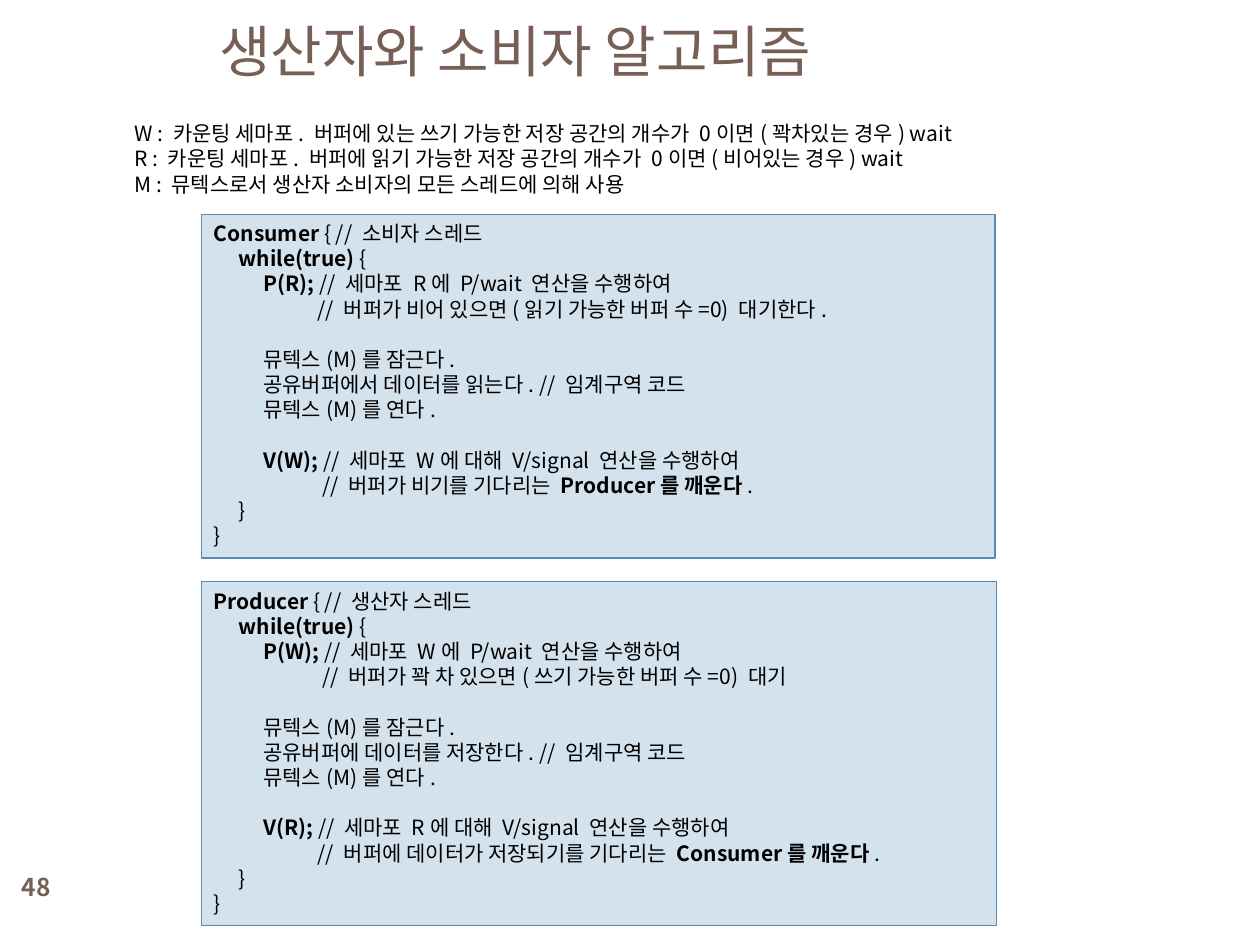
from dataclasses import dataclass

from lxml import etree
from pptx import Presentation
from pptx import util as u
from pptx.dml.color import RGBColor
from pptx.enum import shapes, text
from pptx.oxml.ns import qn

COLORS = {"heading": "775F55", "body": "000000", "panel": "D4E2ED", "border": "558BB8"}
FONT = "Noto Sans CJK KR"
LINE_HEIGHT = 14.4
TAB_STEP = u.Cm(0.5)
TAB_COUNT = 4


@dataclass
class Area:
    left: float
    top: float
    width: float
    height: float

    def lengths(self) -> list[u.Length]:
        return [u.Cm(side) for side in (self.left, self.top, self.width, self.height)]


@dataclass
class Style:
    size: float = 12
    color: str = "body"
    bold: bool = False
    align: text.PP_ALIGN = text.PP_ALIGN.LEFT
    anchor: text.MSO_ANCHOR = text.MSO_ANCHOR.TOP
    line_height: float | None = None


@dataclass
class Thread:
    name: str
    role: str
    waits_on: str
    signals: str
    wait_note: str
    action: str
    signal_note: str
    area: Area

    def groups(self) -> list[list[str]]:
        return [
            [
                f"**{self.name}** {{ // {self.role} 스레드",
                "\t**while(true) **{",
                f"\t\t**P({self.waits_on}); **// 세마포 {self.waits_on}에 P/wait 연산을 수행하여",
                f"\t\t\t\t{self.wait_note}",
            ],
            [
                "\t\t뮤텍스(M)를 잠근다.",
                f"\t\t{self.action} // 임계구역 코드",
                "\t\t뮤텍스(M)를 연다.",
            ],
            [
                f"\t\t**V({self.signals}); **// 세마포 {self.signals}에 대해 V/signal 연산을 수행하여",
                f"\t\t\t\t{self.signal_note}",
                "\t}",
                "}",
            ],
        ]


def add_tabs(para) -> None:
    stops = etree.SubElement(para._p.get_or_add_pPr(), qn("a:tabLst"))
    for number in range(1, TAB_COUNT + 1):
        etree.SubElement(stops, qn("a:tab"), pos=str(TAB_STEP * number), algn="l")


def set_font(font, style: Style) -> None:
    font.name = FONT
    font.size = u.Pt(style.size)
    font.color.rgb = RGBColor.from_string(COLORS[style.color])
    if style.bold:
        font.bold = True
    east_asian = etree.Element(qn("a:ea"), typeface=FONT)
    font._element.find(qn("a:latin")).addnext(east_asian)


def write(box, groups: list[list[str]], style: Style) -> None:
    frame = box.text_frame
    frame.word_wrap = True
    frame.vertical_anchor = style.anchor
    para = None
    for group_index, group in enumerate(groups):
        for line_index, line in enumerate(group):
            para = frame.add_paragraph() if para else frame.paragraphs[0]
            para.alignment = style.align
            if style.line_height:
                para.line_spacing = u.Pt(style.line_height)
            if group_index and line_index == 0:
                para.space_before = u.Pt(LINE_HEIGHT)
            if "\t" in line:
                add_tabs(para)
            set_font(para.font, style)
            for part_index, part in enumerate(line.split("**")):
                if part:
                    span = para.add_run()
                    span.text = part
                    if part_index % 2:
                        span.font.bold = True


def add_text(page, area: Area, lines: list[str], style: Style) -> None:
    write(page.shapes.add_textbox(*area.lengths()), [lines], style)


def add_thread(page, thread: Thread) -> None:
    box = page.shapes.add_shape(shapes.MSO_SHAPE.RECTANGLE, *thread.area.lengths())
    box.shadow.inherit = False
    box.fill.solid()
    box.fill.fore_color.rgb = RGBColor.from_string(COLORS["panel"])
    box.line.color.rgb = RGBColor.from_string(COLORS["border"])
    box.line.width = u.Pt(0.75)
    write(box, thread.groups(), Style(line_height=LINE_HEIGHT))


THREADS = [
    Thread(
        "Consumer", "소비자", "R", "W",
        " // 버퍼가 비어 있으면(읽기 가능한 버퍼 수=0) 대기한다.",
        "공유버퍼에서 데이터를 읽는다.",
        "  // 버퍼가 비기를 기다리는 **Producer를 깨운다**.",
        Area(4.06, 4.32, 16, 6.93),
    ),
    Thread(
        "Producer", "생산자", "W", "R",
        "  // 버퍼가 꽉 차 있으면(쓰기 가능한 버퍼 수=0) 대기",
        "공유버퍼에 데이터를 저장한다.",
        " // 버퍼에 데이터가 저장되기를 기다리는 **Consumer를 깨운다**.",
        Area(4.06, 11.73, 16.03, 6.93),
    ),
]

SEMAPHORES = [
    "W : 카운팅 세마포. 버퍼에 있는 쓰기 가능한 저장 공간의 개수가 0이면(꽉차있는 경우) wait",
    "R : 카운팅 세마포. 버퍼에 읽기 가능한 저장 공간의 개수가 0이면(비어있는 경우) wait",
    "M : 뮤텍스로서 생산자 소비자의 모든 스레드에 의해 사용",
]


def main() -> None:
    deck = Presentation()
    deck.slide_width, deck.slide_height = u.Cm(25.4), u.Cm(19.05)
    page = deck.slides.add_slide(deck.slide_layouts[6])
    middle = text.MSO_ANCHOR.MIDDLE
    add_text(page, Area(0, 17.35, 1.47, 1.07), ["48"],
             Style(14, "heading", True, text.PP_ALIGN.CENTER, middle))
    add_text(page, Area(4.17, -0.03, 15.01, 2.08), ["생산자와 소비자 알고리즘"],
             Style(32, "heading", anchor=middle))
    for thread in THREADS:
        add_thread(page, thread)
    add_text(page, Area(2.46, 2.31, 19.2, 1.8), SEMAPHORES, Style(line_height=LINE_HEIGHT))
    deck.save("out.pptx")


if __name__ == "__main__":
    main()
